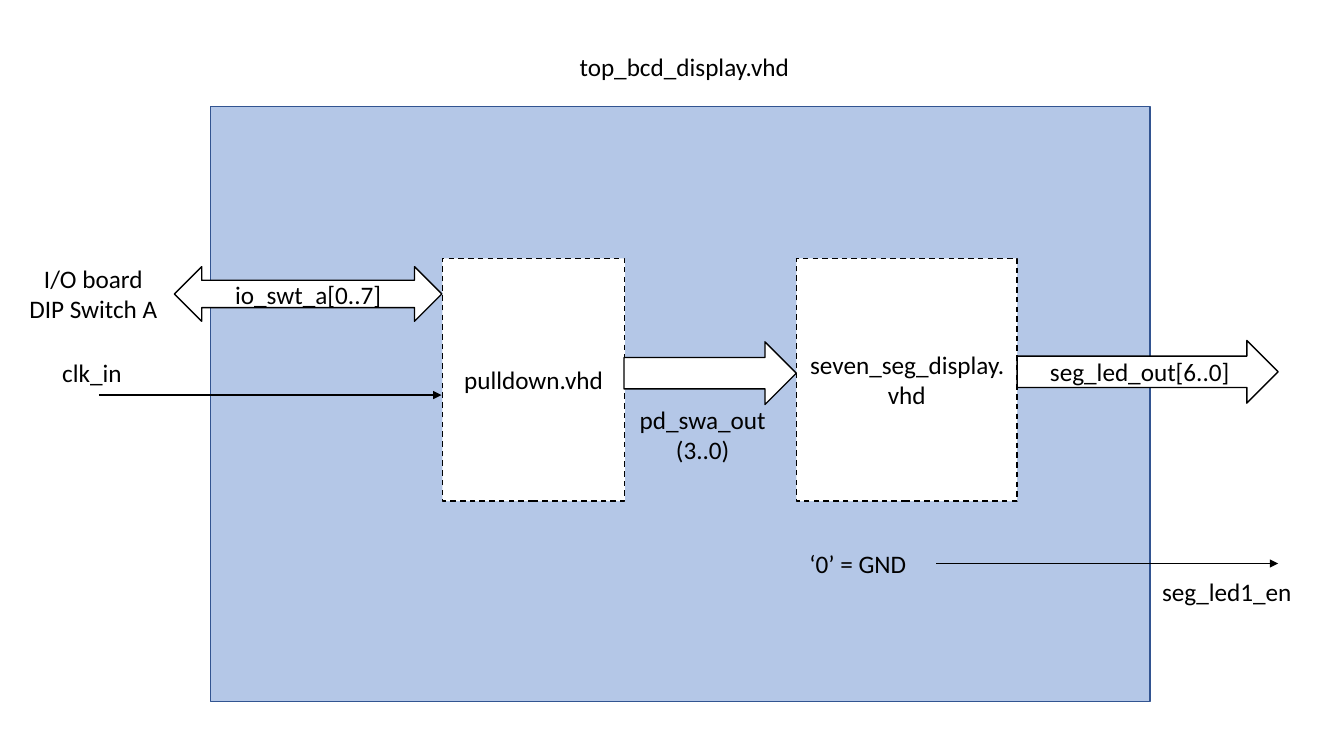
"""Builds the block diagram slide of the BCD display design."""
import dataclasses

import lxml.etree
import pptx
import pptx.dml.color
import pptx.enum.dml
import pptx.enum.shapes
import pptx.enum.text
import pptx.oxml.ns
import pptx.util

Shape = pptx.enum.shapes.MSO_SHAPE
Anchor = pptx.enum.text.MSO_ANCHOR
Align = pptx.enum.text.PP_ALIGN


@dataclasses.dataclass(frozen=True)
class Theme:
    font: str = "Calibri"
    size: float = 18
    line_width: float = 1
    ink: str = "000000"
    paper: str = "FFFFFF"
    panel: str = "B4C7E7"
    panel_edge: str = "325491"


class Diagram:
    def __init__(self, page, theme):
        self.page = page
        self.theme = theme

    def color(self, name):
        return pptx.dml.color.RGBColor.from_string(getattr(self.theme, name))

    def apply(self, target, values):
        for name, value in values.items():
            setattr(target, name, value)

    def lengths(self, values):
        return [pptx.util.Pt(value) for value in values]

    def set_text(self, box, text, align, anchor, wrap):
        frame = box.text_frame
        self.apply(frame, {
            "text": text,
            "word_wrap": wrap,
            "vertical_anchor": anchor,
            "auto_size": pptx.enum.text.MSO_AUTO_SIZE.NONE,
        })
        for para in frame.paragraphs:
            para.alignment = align
            for span in para.runs:
                self.apply(span.font, {
                    "name": self.theme.font,
                    "size": pptx.util.Pt(self.theme.size),
                })
                span.font.color.rgb = self.color("ink")

    def stroke(self, line, edge="ink", dashed=False):
        line.color.rgb = self.color(edge)
        line.width = pptx.util.Pt(self.theme.line_width)
        if dashed:
            line.dash_style = pptx.enum.dml.MSO_LINE.DASH

    def title(self, text, bounds):
        box = self.page.shapes.title
        names = ("left", "top", "width", "height")
        self.apply(box, dict(zip(names, self.lengths(bounds))))
        self.set_text(box, text, Align.LEFT, Anchor.TOP, False)

    def block(self, kind, bounds, text="", fill="paper", edge="ink", dashed=False):
        box = self.page.shapes.add_shape(kind, *self.lengths(bounds))
        box.shadow.inherit = False
        box.fill.solid()
        box.fill.fore_color.rgb = self.color(fill)
        self.stroke(box.line, edge, dashed)
        if text:
            self.set_text(box, text, Align.CENTER, Anchor.MIDDLE, True)

    def label(self, text, bounds, align=Align.LEFT, wrap=False):
        box = self.page.shapes.add_textbox(*self.lengths(bounds))
        self.set_text(box, text, align, Anchor.TOP, wrap)

    def signal(self, start, end, height):
        wire = self.page.shapes.add_connector(
            pptx.enum.shapes.MSO_CONNECTOR.STRAIGHT,
            *self.lengths((start, height, end, height)))
        self.stroke(wire.line)
        qn = pptx.oxml.ns.qn
        outline = wire._element.spPr.find(qn("a:ln"))
        head = lxml.etree.SubElement(outline, qn("a:tailEnd"))
        head.set("type", "triangle")
        lxml.etree.SubElement(wire._element.spPr, qn("a:effectLst"))


def main():
    deck = pptx.Presentation()
    deck.slide_width = pptx.util.Pt(960)
    deck.slide_height = pptx.util.Pt(540)
    page = deck.slides.add_slide(deck.slide_layouts.get_by_name("Title Only"))
    diagram = Diagram(page, Theme())

    diagram.title("top_bcd_display.vhd", (406.8, 33.1, 165.6, 29))
    diagram.block(Shape.RECTANGLE, (150.5, 76.3, 671, 424.8),
                  fill="panel", edge="panel_edge")

    for text, left, width in (
        ("pulldown.vhd", 316, 130.3),
        ("seven_seg_display.vhd", 568.8, 157.7),
    ):
        diagram.block(Shape.RECTANGLE, (left, 184.5, width, 173.5), text, dashed=True)

    for kind, text, bounds in (
        (Shape.LEFT_RIGHT_ARROW, "io_swt_a[0..7]", (124.6, 190.5, 191, 39)),
        (Shape.RIGHT_ARROW, "", (445.7, 244.2, 123.1, 44.8)),
        (Shape.RIGHT_ARROW, "seg_led_out[6..0]", (726.5, 243.2, 186.5, 44.8)),
    ):
        diagram.block(kind, bounds, text)

    diagram.signal(70.6, 315.4, 282.2)
    diagram.signal(668.9, 913, 402.5)

    diagram.label("I/O board\nDIP Switch A", (13, 184.5, 107.3, 51), Align.CENTER)
    diagram.label("pd_swa_out\n(3..0)", (416.2, 285.1, 171.4, 72.7), Align.CENTER, True)
    for text, bounds in (
        ("clk_in", (37.4, 252, 57.6, 29)),
        ("‘0’ = GND", (571, 388, 85, 29)),
        ("seg_led1_en", (823, 408.2, 108, 29)),
    ):
        diagram.label(text, bounds)

    deck.save("out.pptx")


if __name__ == "__main__":
    main()
